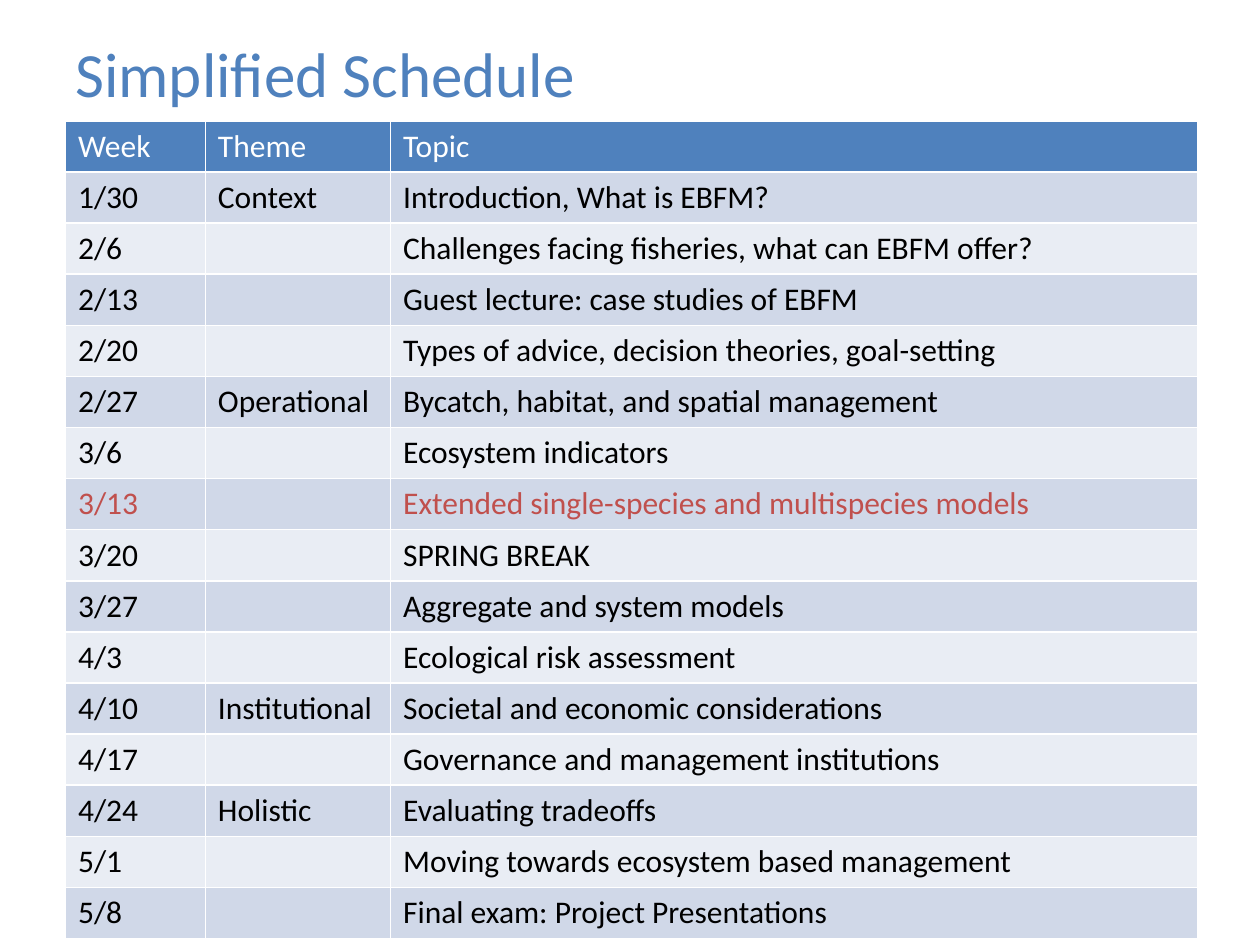
from dataclasses import dataclass

from pptx import Presentation
from pptx.dml.color import RGBColor as RGB
from pptx.enum.text import MSO_ANCHOR as Anchor, PP_ALIGN as Align
from pptx.util import Inches, Pt

SLIDE_W, SLIDE_H = Inches(10), Inches(7.5)
BLANK_LAYOUT = 6


@dataclass(frozen=True)
class Theme:
    face: str = "Calibri"
    title_size: int = 36
    cell_size: int = 18
    accent: str = "4F81BD"
    header_text: str = "FFFFFF"
    body_text: str = "000000"
    highlight: str = "C0504D"
    bands: tuple = ("D0D8E8", "E9EDF4")


THEME = Theme()

HEADINGS = ("Week", "Theme", "Topic")
COLUMN_WIDTHS = (1.11, 1.47, 6.41)
HIGHLIGHTED_WEEK = "3/13"
SCHEDULE = (
    ("1/30", "Context", "Introduction, What is EBFM?"),
    ("2/6", "", "Challenges facing fisheries, what can EBFM offer?"),
    ("2/13", "", "Guest lecture: case studies of EBFM"),
    ("2/20", "", "Types of advice, decision theories, goal-setting"),
    ("2/27", "Operational", "Bycatch, habitat, and spatial management"),
    ("3/6", "", "Ecosystem indicators"),
    ("3/13", "", "Extended single-species and multispecies models"),
    ("3/20", "", "SPRING BREAK"),
    ("3/27", "", "Aggregate and system models"),
    ("4/3", "", "Ecological risk assessment"),
    ("4/10", "Institutional", "Societal and economic considerations"),
    ("4/17", "", "Governance and management institutions"),
    ("4/24", "Holistic", "Evaluating tradeoffs"),
    ("5/1", "", "Moving towards ecosystem based management"),
    ("5/8", "", "Final exam: Project Presentations"),
)


def set_attributes(target, values):
    for key, value in values.items():
        setattr(target, key, value)


def write(frame, text, size, color):
    paragraph = frame.paragraphs[0]
    paragraph.text = text
    paragraph.alignment = Align.LEFT
    set_attributes(paragraph.font, {"name": THEME.face, "size": Pt(size), "bold": False})
    paragraph.font.color.rgb = RGB.from_string(color)


def add_title(slide, text):
    title = slide.shapes.add_textbox(
        int(SLIDE_W * 0.05), Inches(0.2), int(SLIDE_W * 0.9), int(SLIDE_H * 0.1))
    set_attributes(title.text_frame, {"word_wrap": True, "vertical_anchor": Anchor.MIDDLE})
    write(title.text_frame, text, THEME.title_size, THEME.accent)


def fill_row(row, texts, fill, color):
    for cell, text in zip(row.cells, texts):
        cell.fill.solid()
        cell.fill.fore_color.rgb = RGB.from_string(fill)
        write(cell.text_frame, text, THEME.cell_size, color)


def add_schedule(slide):
    # The default table style supplies the white grid lines
    schedule = slide.shapes.add_table(
        len(SCHEDULE) + 1, len(HEADINGS),
        Inches(0.52), Inches(0.96), Inches(sum(COLUMN_WIDTHS)), Inches(6.49)).table
    for column, width in zip(schedule.columns, COLUMN_WIDTHS):
        column.width = Inches(width)

    # Header, then alternating bands
    header, *weeks = schedule.rows
    fill_row(header, HEADINGS, THEME.accent, THEME.header_text)
    for index, (row, texts) in enumerate(zip(weeks, SCHEDULE)):
        color = THEME.highlight if texts[0] == HIGHLIGHTED_WEEK else THEME.body_text
        fill_row(row, texts, THEME.bands[index % 2], color)


def main():
    deck = Presentation()
    set_attributes(deck, {"slide_width": SLIDE_W, "slide_height": SLIDE_H})
    slide = deck.slides.add_slide(deck.slide_layouts[BLANK_LAYOUT])
    add_title(slide, "Simplified Schedule")
    add_schedule(slide)
    deck.save("out.pptx")


if __name__ == "__main__":
    main()
